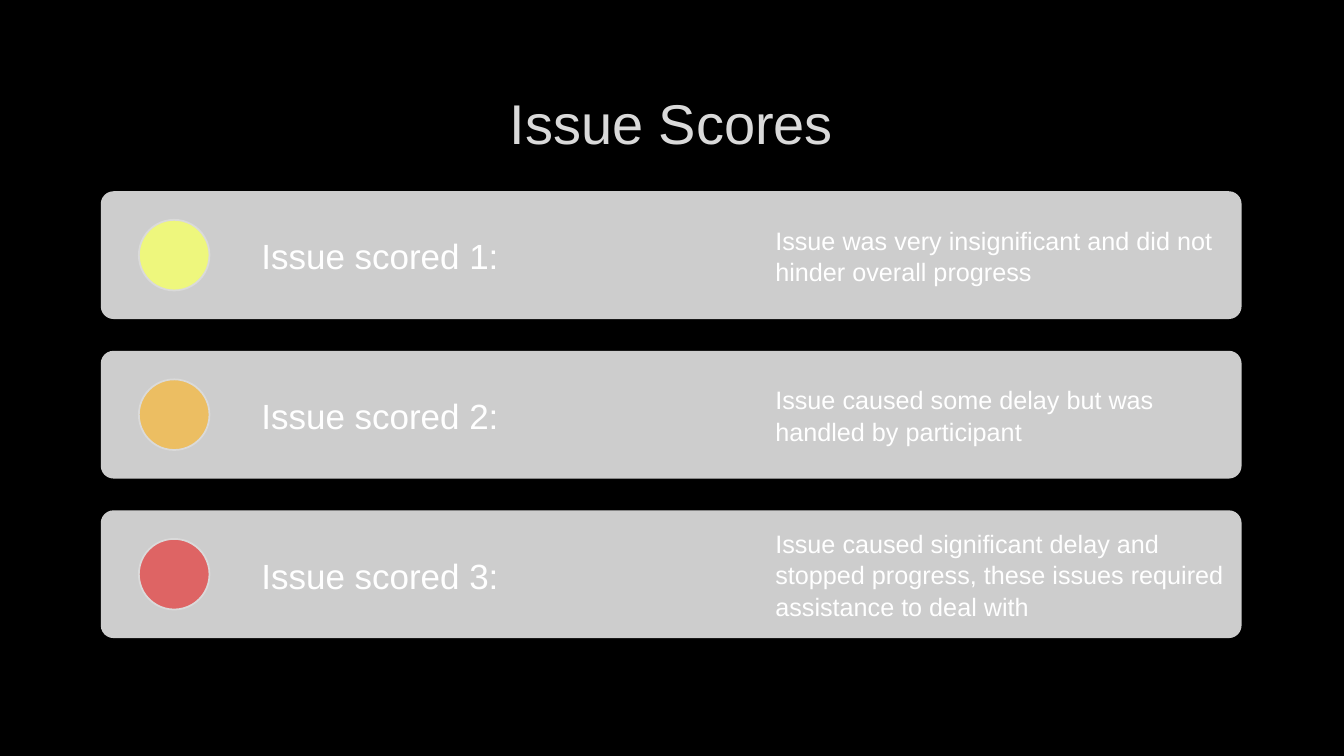
from pptx import Presentation
from pptx.dml.color import RGBColor
from pptx.enum.shapes import MSO_SHAPE
from pptx.enum.text import MSO_ANCHOR, PP_ALIGN
from pptx.util import Cm, Pt

BLACK = RGBColor(0x00, 0x00, 0x00)
WHITE = RGBColor(0xFF, 0xFF, 0xFF)
CARD_GREY = RGBColor(0xCD, 0xCD, 0xCD)
LIGHT_GREY = RGBColor(0xDA, 0xDA, 0xDA)
YELLOW = RGBColor(0xEE, 0xF7, 0x7D)
ORANGE = RGBColor(0xEC, 0xBE, 0x62)
RED = RGBColor(0xDE, 0x64, 0x64)

TITLE = "Issue Scores"
SCORES = [
    ("Issue scored 1:", "Issue was very insignificant and did not hinder overall progress", YELLOW),
    ("Issue scored 2:", "Issue caused some delay but was handled by participant", ORANGE),
    ("Issue scored 3:", "Issue caused significant delay and stopped progress, "
                        "these issues required assistance to deal with", RED),
]

LEFT, WIDTH = Cm(2.54), Cm(28.75)
FIRST_TOP, CARD_HEIGHT, PITCH = Cm(4.82), Cm(3.22), Cm(4.02)
DOT_LEFT, DOT_SIZE = Cm(3.5), Cm(1.78)
LABEL_LEFT, DETAIL_LEFT = Cm(6.25), Cm(19.2)
INSET = Cm(0.34)


def add_shape(s, kind, left, top, width, height, color):
    sp = s.shapes.add_shape(kind, left, top, width, height)
    sp.shadow.inherit = False
    sp.fill.solid()
    sp.fill.fore_color.rgb = color
    sp.line.fill.background()
    return sp


def add_text(s, text, left, top, width, height, size, color, align=PP_ALIGN.LEFT):
    tf = s.shapes.add_textbox(left, top, width, height).text_frame
    tf.word_wrap = True
    tf.vertical_anchor = MSO_ANCHOR.MIDDLE
    tf.margin_left = tf.margin_right = tf.margin_top = tf.margin_bottom = INSET
    tf.text = text
    p = tf.paragraphs[0]
    p.alignment = align
    p.line_spacing = 1.04
    font = p.runs[0].font
    font.name = "Arial"
    font.size = Pt(size)
    font.color.rgb = color


def add_score(s, top, label, detail, color):
    card = add_shape(s, MSO_SHAPE.ROUNDED_RECTANGLE, LEFT, top, WIDTH, CARD_HEIGHT, CARD_GREY)
    card.adjustments[0] = 0.1
    dot_top = top + (CARD_HEIGHT - DOT_SIZE) // 2
    dot = add_shape(s, MSO_SHAPE.OVAL, DOT_LEFT, dot_top, DOT_SIZE, DOT_SIZE, color)
    dot.line.color.rgb = LIGHT_GREY
    dot.line.width = Pt(1.25)
    add_text(s, label, LABEL_LEFT, top, DETAIL_LEFT - LABEL_LEFT, CARD_HEIGHT, 25, WHITE)
    add_text(s, detail, DETAIL_LEFT, top, LEFT + WIDTH - DETAIL_LEFT, CARD_HEIGHT, 18, WHITE)


def main():
    prs = Presentation()
    prs.slide_width, prs.slide_height = Cm(33.87), Cm(19.05)
    s = prs.slides.add_slide(prs.slide_layouts[6])
    s.background.fill.solid()
    s.background.fill.fore_color.rgb = BLACK
    add_text(s, TITLE, LEFT, Cm(1.7), WIDTH, Cm(2.7), 40, LIGHT_GREY, PP_ALIGN.CENTER)
    for i, (label, detail, color) in enumerate(SCORES):
        add_score(s, FIRST_TOP + i * PITCH, label, detail, color)
    prs.save("out.pptx")


if __name__ == "__main__":
    main()
